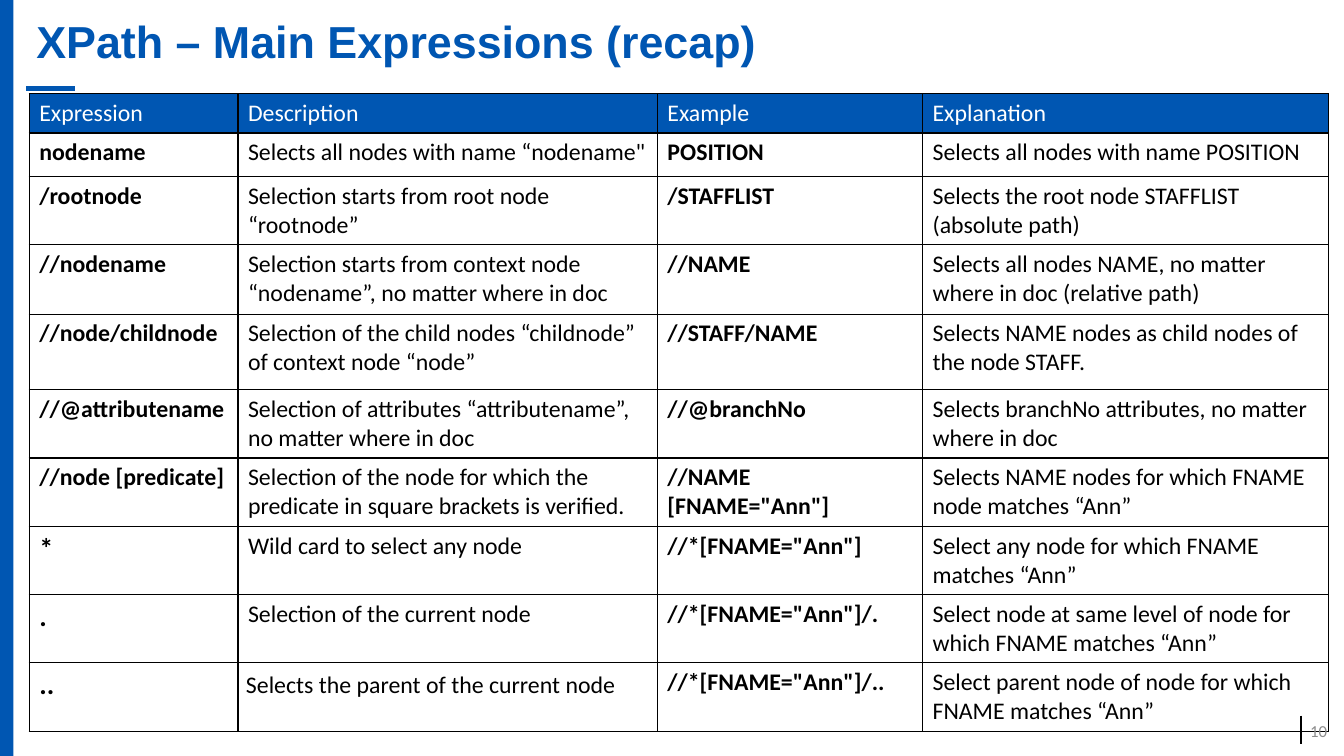
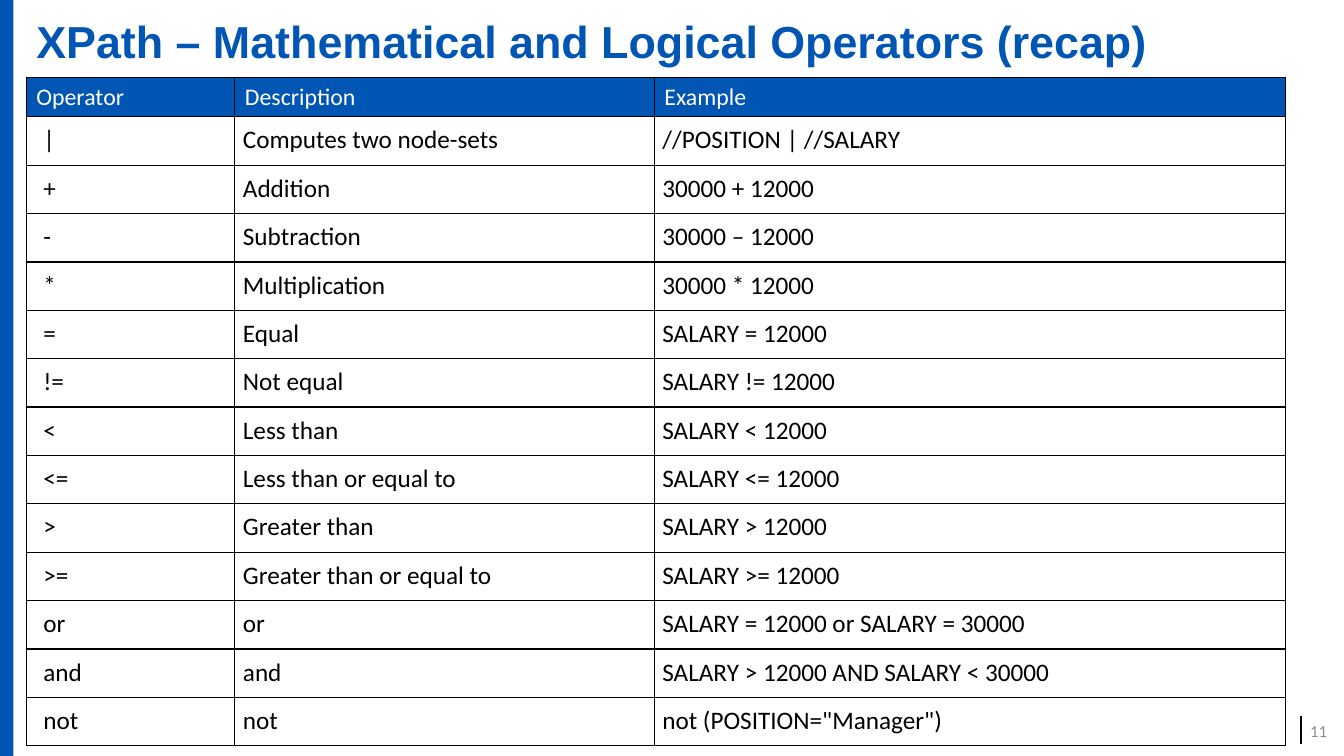
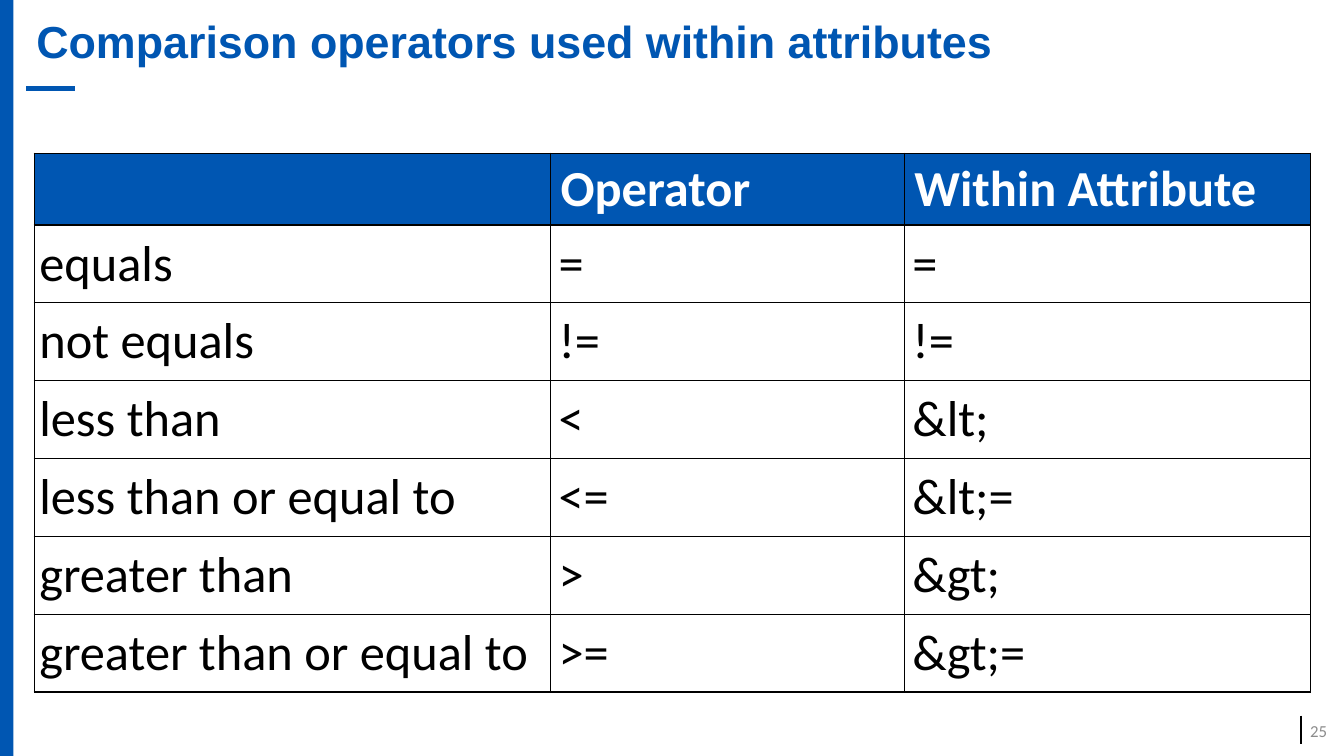
import dataclasses
import typing

import lxml.etree
import pptx
import pptx.dml.color
import pptx.enum.shapes
import pptx.enum.text
import pptx.oxml.ns
import pptx.util

SLIDE_WIDTH, SLIDE_HEIGHT = 13.33, 7.5
BLUE, BLACK, WHITE, GREY = "0056B2", "000000", "FFFFFF", "8C8C8C"
MIDDLE = pptx.enum.text.MSO_ANCHOR.MIDDLE
TOP = pptx.enum.text.MSO_ANCHOR.TOP
LEFT = pptx.enum.text.PP_ALIGN.LEFT
RIGHT = pptx.enum.text.PP_ALIGN.RIGHT

Inset = tuple[float, float, float, float]
NORMAL_INSET: Inset = (0.1, 0.05, 0.1, 0.05)
EVEN_INSET: Inset = (0.08,) * 4
INDENTED_INSET: Inset = (0.17, 0.08, 0.08, 0.08)
TIGHT_INSET: Inset = (0.05,) * 4


@dataclasses.dataclass(frozen=True)
class TextStyle:
    size: float
    color: str = BLACK
    bold: bool = False
    font: str = "Calibri"
    inset: Inset = NORMAL_INSET


@dataclasses.dataclass(frozen=True)
class TableSlide:
    title: str
    number: int
    left: float
    top: float
    columns: list[float]
    rows: list[float]
    header: TextStyle
    column_styles: list[TextStyle]
    cells: list[tuple[str, ...]]
    anchor: typing.Any = TOP
    special_styles: dict[tuple[int, int], TextStyle] = dataclasses.field(default_factory=dict)


TITLE_STYLE = TextStyle(32, BLUE, True, "Arial")
NUMBER_STYLE = TextStyle(12, GREY)
SMALL_HEADER = TextStyle(17, WHITE)
PLAIN = TextStyle(17)
STRONG = TextStyle(17, bold=True)
SYMBOL = TextStyle(20, bold=True)
OPERATOR = TextStyle(18, inset=INDENTED_INSET)
OPERATOR_DETAIL = TextStyle(18, inset=EVEN_INSET)
LARGE_HEADER = TextStyle(36, WHITE, True)
LARGE_NAME = TextStyle(36, inset=TIGHT_INSET)
LARGE_DETAIL = TextStyle(36, inset=EVEN_INSET)

TABLE_SLIDES = [
    TableSlide(
        "XPath – Main Expressions (recap)", 10, 0.29, 0.93,
        [2.07, 4.16, 2.63, 4.03],
        [0.38, 0.43, 0.67, 0.69, 0.75] + [0.67] * 5,
        SMALL_HEADER, [STRONG, PLAIN, STRONG, PLAIN],
        [
            ("Expression", "Description", "Example", "Explanation"),
            ("nodename", "Selects all nodes with name “nodename\"",
             "POSITION", "Selects all nodes with name POSITION"),
            ("/rootnode", "Selection starts from root node “rootnode”",
             "/STAFFLIST", "Selects the root node STAFFLIST (absolute path)"),
            ("//nodename", "Selection starts from context node “nodename”, no matter where in doc",
             "//NAME", "Selects all nodes NAME, no matter where in doc (relative path)"),
            ("//node/childnode", "Selection of the child nodes “childnode” of context node “node”",
             "//STAFF/NAME", "Selects NAME nodes as child nodes of the node STAFF."),
            ("//@attributename", "Selection of attributes “attributename”, no matter where in doc",
             "//@branchNo", "Selects branchNo attributes, no matter where in doc"),
            ("//node [predicate]",
             "Selection of the node for which the predicate in square brackets is verified.",
             "//NAME [FNAME=\"Ann\"]", "Selects NAME nodes for which FNAME node matches “Ann”"),
            ("*", "Wild card to select any node",
             "//*[FNAME=\"Ann\"]", "Select any node for which FNAME matches “Ann”"),
            (".", "Selection of the current node",
             "//*[FNAME=\"Ann\"]/.", "Select node at same level of node for which FNAME matches “Ann”"),
            ("..", "Selects the parent of the current node",
             "//*[FNAME=\"Ann\"]/..", "Select parent node of node for which FNAME matches “Ann”"),
        ],
        special_styles={
            (7, 0): SYMBOL, (8, 0): SYMBOL, (9, 0): SYMBOL,
            (9, 1): TextStyle(17, inset=EVEN_INSET),
        },
    ),
    TableSlide(
        "XPath – Mathematical and Logical Operators (recap)", 11, 0.26, 0.77,
        [2.07, 4.16, 6.26], [0.38] + [0.48] * 13,
        SMALL_HEADER, [OPERATOR, OPERATOR_DETAIL, OPERATOR_DETAIL],
        [
            ("Operator", "Description", "Example"),
            ("|", "Computes two node-sets", "//POSITION | //SALARY"),
            ("+", "Addition", "30000 + 12000"),
            ("-", "Subtraction", "30000 – 12000"),
            ("*", "Multiplication", "30000 * 12000"),
            ("=", "Equal", "SALARY = 12000"),
            ("!=", "Not equal", "SALARY != 12000"),
            ("<", "Less than", "SALARY < 12000"),
            ("<=", "Less than or equal to", "SALARY <= 12000"),
            (">", "Greater than", "SALARY > 12000"),
            (">=", "Greater than or equal to", "SALARY >= 12000"),
            ("or", "or", "SALARY = 12000 or SALARY = 30000"),
            ("and", "and", "SALARY > 12000 AND SALARY < 30000"),
            ("not", "not", "not (POSITION=\"Manager\")"),
        ],
    ),
    TableSlide(
        "Comparison operators used within attributes", 25, 0.34, 1.52,
        [5.12, 3.51, 4.03], [0.69] * 7,
        LARGE_HEADER, [LARGE_NAME, LARGE_DETAIL, LARGE_DETAIL],
        [
            ("", "Operator", "Within Attribute"),
            ("equals", "=", "="),
            ("not equals", "!=", "!="),
            ("less than", "<", "&lt;"),
            ("less than or equal to", "<=", "&lt;="),
            ("greater than", ">", "&gt;"),
            ("greater than or equal to", ">=", "&gt;="),
        ],
        anchor=MIDDLE,
    ),
]


def rgb(color: str) -> pptx.dml.color.RGBColor:
    return pptx.dml.color.RGBColor.from_string(color)


def inches(*lengths: float) -> list[int]:
    return [pptx.util.Inches(length) for length in lengths]


def set_attributes(target: typing.Any, values: dict[str, typing.Any]) -> None:
    for name, value in values.items():
        setattr(target, name, value)


def set_insets(target: typing.Any, inset: Inset) -> None:
    sides = ("margin_left", "margin_top", "margin_right", "margin_bottom")
    set_attributes(target, dict(zip(sides, inches(*inset))))


def write_text(text_frame: typing.Any, text: str, style: TextStyle, alignment: typing.Any = LEFT) -> None:
    paragraph = text_frame.paragraphs[0]
    paragraph.alignment = alignment
    if text:
        run = paragraph.add_run()
        run.text = text
        set_attributes(run.font, {
            "name": style.font, "size": pptx.util.Pt(style.size), "bold": style.bold,
        })
        run.font.color.rgb = rgb(style.color)


def add_line(slide: typing.Any, start: tuple[float, float], end: tuple[float, float],
             color: str, width: float) -> None:
    line = slide.shapes.add_connector(
        pptx.enum.shapes.MSO_CONNECTOR.STRAIGHT, *inches(*start, *end))
    line.line.color.rgb = rgb(color)
    line.line.width = pptx.util.Pt(width)
    lxml.etree.SubElement(line._element.spPr, pptx.oxml.ns.qn("a:effectLst"))


def add_frame(slide: typing.Any, title: str) -> None:
    """Side band, rules and title shared by all slides."""
    band = slide.shapes.add_shape(
        pptx.enum.shapes.MSO_SHAPE.RECTANGLE, *inches(0, 0, SLIDE_WIDTH / 100, SLIDE_HEIGHT))
    band.shadow.inherit = False
    band.fill.solid()
    band.fill.fore_color.rgb = rgb(BLUE)
    band.line.fill.background()
    add_line(slide, (12.9, 7.1), (12.9, 7.38), BLACK, 1.5)
    add_line(slide, (0.74, 0.88), (0.26, 0.88), BLUE, 4)

    heading = slide.shapes.title
    set_attributes(heading, dict(zip(("left", "top", "width", "height"), inches(0.26, 0, 12.94, 0.88))))
    set_attributes(heading.text_frame, {
        "word_wrap": True, "vertical_anchor": MIDDLE,
        "auto_size": pptx.enum.text.MSO_AUTO_SIZE.NONE,
    })
    set_insets(heading.text_frame, TITLE_STYLE.inset)
    write_text(heading.text_frame, title, TITLE_STYLE)
    heading.text_frame.paragraphs[0].line_spacing = 0.9


def add_slide_number(slide: typing.Any, number: int) -> None:
    box = slide.shapes.add_textbox(*inches(12.84, 7.05, 0.42, 0.4))
    set_attributes(box.text_frame, {"word_wrap": True, "vertical_anchor": MIDDLE})
    set_insets(box.text_frame, NUMBER_STYLE.inset)
    write_text(box.text_frame, str(number), NUMBER_STYLE, RIGHT)


def add_borders(cell: typing.Any) -> None:
    properties = cell._tc.get_or_add_tcPr()
    qualified = pptx.oxml.ns.qn
    for side in ("a:lnL", "a:lnR", "a:lnT", "a:lnB"):
        border = lxml.etree.SubElement(properties, qualified(side), w=str(pptx.util.Pt(1)))
        fill = lxml.etree.SubElement(border, qualified("a:solidFill"))
        lxml.etree.SubElement(fill, qualified("a:srgbClr"), val=BLACK)


def add_grid_table(slide: typing.Any, content: TableSlide) -> None:
    table = slide.shapes.add_table(
        len(content.rows), len(content.columns),
        *inches(content.left, content.top, sum(content.columns), sum(content.rows))).table
    set_attributes(table, {"first_row": False, "horz_banding": False})
    for column, width in zip(table.columns, inches(*content.columns)):
        column.width = width
    for row, height in zip(table.rows, inches(*content.rows)):
        row.height = height

    for row_index, texts in enumerate(content.cells):
        for column_index, text in enumerate(texts):
            cell = table.cell(row_index, column_index)
            add_borders(cell)
            if row_index == 0:
                style = content.header
                cell.fill.solid()
                cell.fill.fore_color.rgb = rgb(BLUE)
            else:
                style = content.special_styles.get(
                    (row_index, column_index), content.column_styles[column_index])
                cell.fill.background()
            cell.vertical_anchor = content.anchor
            set_insets(cell, style.inset)
            write_text(cell.text_frame, text, style)


def main() -> None:
    presentation = pptx.Presentation()
    presentation.slide_width, presentation.slide_height = inches(SLIDE_WIDTH, SLIDE_HEIGHT)
    title_only = presentation.slide_layouts[5]
    for content in TABLE_SLIDES:
        slide = presentation.slides.add_slide(title_only)
        add_frame(slide, content.title)
        add_grid_table(slide, content)
        add_slide_number(slide, content.number)
    presentation.save("out.pptx")


if __name__ == "__main__":
    main()
